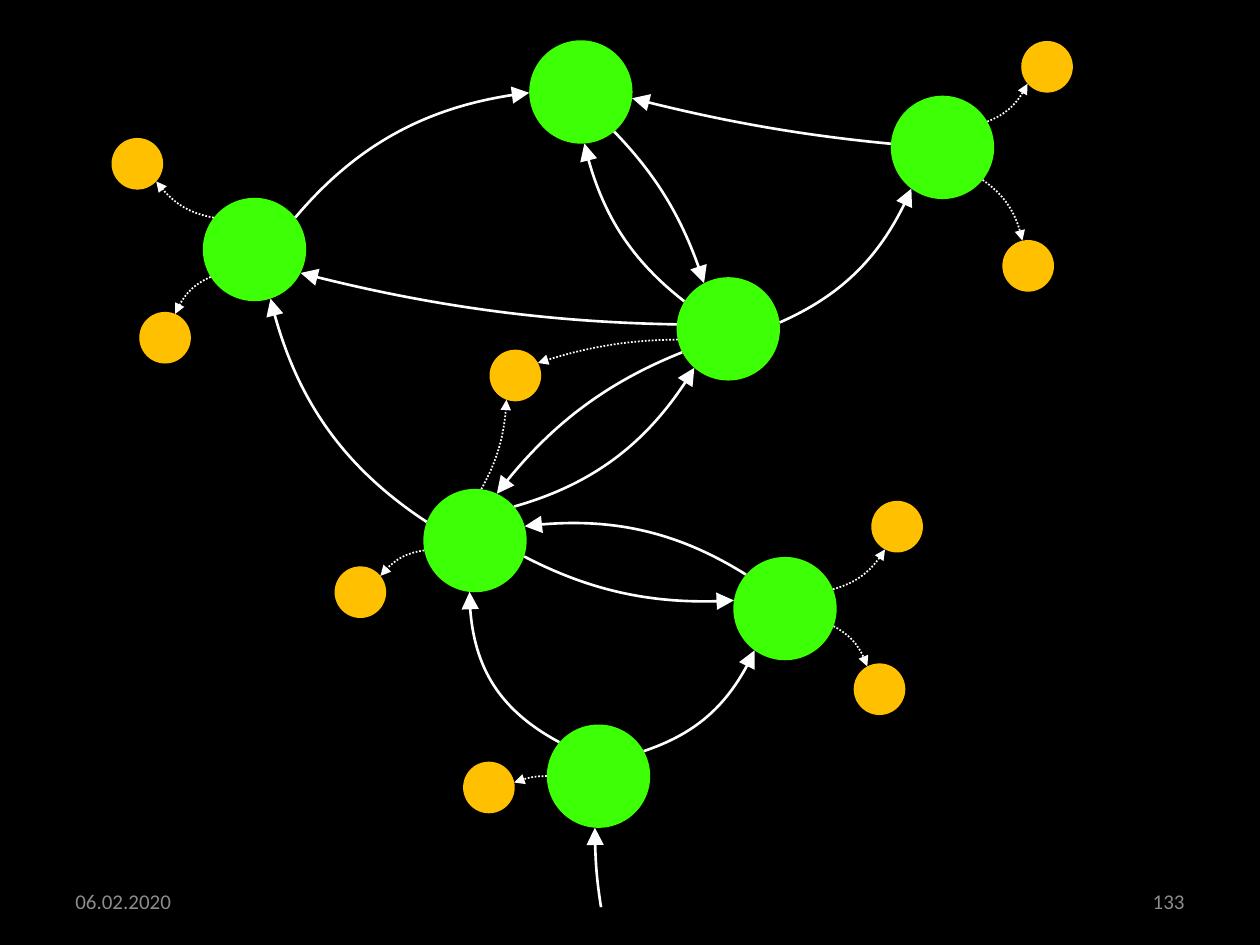
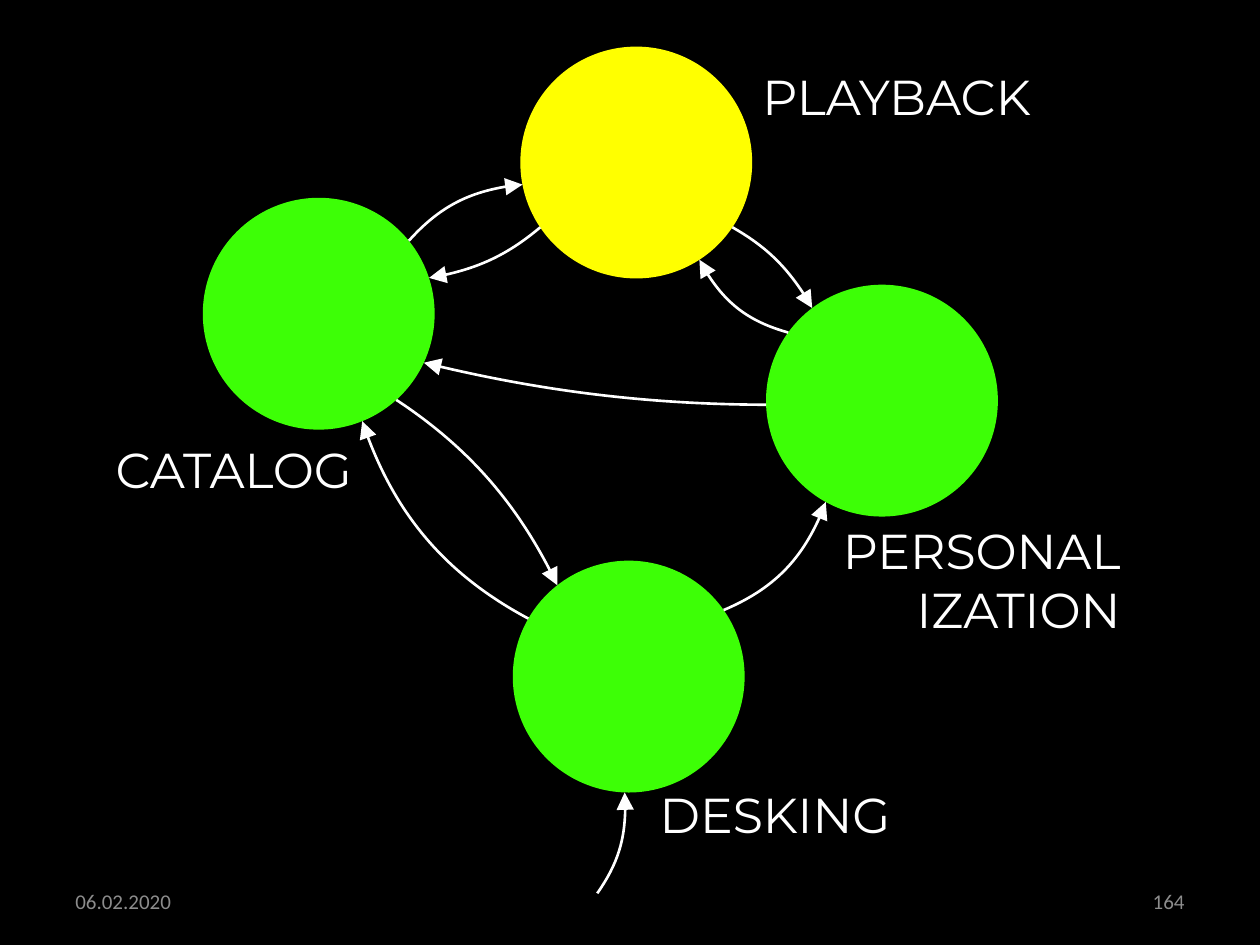
import math

from lxml import etree
from pptx import Presentation
from pptx import util as u
from pptx.dml.color import RGBColor
from pptx.enum import dml, shapes, text
from pptx.oxml import ns

LEFT, CENTER, RIGHT = text.PP_ALIGN.LEFT, text.PP_ALIGN.CENTER, text.PP_ALIGN.RIGHT

COLORS = {
    "background": "000000",
    "arrow": "FFFFFF",
    "label": "FFFFFF",
    "footer": "8C8C8C",
    "hub": "3DFF06",
    "leaf": "FFC000",
    "area": "3DFF06",
    "player": "FFFF00",
}
# Positions and radii are inches on a 10 x 7.5 page. An entry is a bare point.
RADII = {"hub": 0.41, "leaf": 0.205, "area": 0.92, "player": 0.92, "entry": 0}
ARROW_STYLES = {
    "solid": {"width": 1.5, "head": "lg", "dash": None},
    "dotted": {"width": 1, "head": "med", "dash": dml.MSO_LINE.ROUND_DOT},
}
DATE = "06.02.2020"

# Circles: name -> (kind, centre x, centre y).
# Arrows: (source, leaving angle, target, arriving angle, bend).
#   Angles are the spots on the two rims, in degrees clockwise from east.
#   Bend is the height of the arc over its chord, positive to the left of travel.
# Layers: circle kinds and arrow styles, from back to front.
NETWORK = {
    "number": "133",
    "layers": ["solid", "leaf", "dotted", "hub"],
    "circles": {
        "north": ("hub", 4.61, 0.73),
        "east": ("hub", 7.48, 1.17),
        "west": ("hub", 2.02, 1.98),
        "middle": ("hub", 5.78, 2.61),
        "center": ("hub", 3.77, 4.29),
        "southeast": ("hub", 6.23, 4.83),
        "south": ("hub", 4.75, 6.16),
        "entry": ("entry", 4.77, 7.2),
        "east upper leaf": ("leaf", 8.31, 0.53),
        "east lower leaf": ("leaf", 8.16, 2.11),
        "west upper leaf": ("leaf", 1.09, 1.3),
        "west lower leaf": ("leaf", 1.31, 2.68),
        "shared leaf": ("leaf", 4.09, 2.98),
        "center leaf": ("leaf", 2.86, 4.7),
        "southeast upper leaf": ("leaf", 7.12, 4.18),
        "southeast lower leaf": ("leaf", 6.98, 5.47),
        "south leaf": ("leaf", 3.88, 6.25),
    },
    "arrows": [
        ("entry", 0, "south", 94, 0.02),
        ("south", 221, "center", 96, 0.15),
        ("south", -29, "southeast", 126, -0.11),
        ("southeast", 221, "center", -16, -0.09),
        ("center", 18, "southeast", 189, -0.07),
        ("center", -41, "middle", 131, -0.1),
        ("center", 201, "west", 72, 0.1),
        ("middle", 153, "center", -65, -0.07),
        ("middle", 185, "west", 27, 0.03),
        ("middle", 212, "north", 86, 0.09),
        ("middle", -7, "east", 127, -0.1),
        ("north", 50, "middle", 242, 0.06),
        ("west", -38, "north", 179, 0.1),
        ("east", 184, "north", 7, 0.02),
        ("east", -30, "east upper leaf", 139, -0.1),
        ("east", 39, "east lower leaf", 257, 0.1),
        ("west", 218, "west upper leaf", 43, 0.1),
        ("west", 148, "west lower leaf", -67, -0.1),
        ("middle", 168, "shared leaf", -29, -0.04),
        ("center", -83, "shared leaf", 110, -0.06),
        ("center", 169, "center leaf", -39, -0.1),
        ("southeast", -22, "southeast upper leaf", 118, -0.1),
        ("southeast", 20, "southeast lower leaf", 242, 0.1),
        ("south", 180, "south leaf", -11, -0.05),
    ],
    "labels": [],
}
AREAS = {
    "number": "164",
    "layers": ["player", "area", "solid"],
    "circles": {
        "playback": ("player", 5.05, 1.29),
        "personalization": ("area", 7, 3.18),
        "desking": ("area", 4.99, 5.37),
        "catalog": ("area", 2.53, 2.49),
        "entry": ("entry", 4.74, 7.09),
    },
    "arrows": [
        ("entry", 0, "desking", 92, -0.09),
        ("desking", 210, "catalog", 68, 0.1),
        ("desking", -35, "personalization", 119, -0.11),
        ("catalog", 48, "desking", 232, 0.07),
        ("catalog", -39, "playback", 169, 0.1),
        ("playback", 146, "catalog", -18, 0.07),
        ("playback", 34, "personalization", 233, 0.07),
        ("personalization", 216, "playback", 57, 0.11),
        ("personalization", 178, "catalog", 25, 0.03),
    ],
    "labels": [
        ("PLAYBACK", (5.83, 0.48, 2.57, 0.57), CENTER),
        ("DESKING", (5.1, 6.18, 2.1, 0.57), CENTER),
        ("PERSONAL\vIZATION", (6.47, 4.08, 2.52, 1.04), RIGHT),
        ("CATALOG", (0.63, 3.44, 2.26, 0.57), RIGHT),
    ],
}


def lengths(*inches):
    return [u.Cm(2.54 * value) for value in inches]


def color(name):
    return RGBColor.from_string(COLORS[name])


def add_text(page, words, place, align, font, size, tint):
    box = page.shapes.add_textbox(*lengths(*place))
    para = box.text_frame.paragraphs[0]
    para.text = words
    para.alignment = align
    para.font.name, para.font.size = font, u.Pt(size)
    para.font.color.rgb = color(tint)
    return box.text_frame


def add_footer(page, number):
    for words, left, align in ((DATE, 0.5, LEFT), (number, 7.17, RIGHT)):
        frame = add_text(page, words, (left, 6.95, 2.33, 0.4), align, "Calibri", 12, "footer")
        frame.word_wrap = True
        frame.vertical_anchor = text.MSO_ANCHOR.MIDDLE


def add_label(page, words, place, align):
    frame = add_text(page, words, place, align, "Montserrat", 28, "label")
    frame.word_wrap = False
    frame.auto_size = text.MSO_AUTO_SIZE.SHAPE_TO_FIT_TEXT


def add_circle(page, kind, x, y):
    radius = RADII[kind]
    place = lengths(x - radius, y - radius, 2 * radius, 2 * radius)
    circle = page.shapes.add_shape(shapes.MSO_SHAPE.OVAL, *place)
    circle.shadow.inherit = False
    circle.fill.solid()
    circle.fill.fore_color.rgb = color(kind)
    circle.line.fill.background()


def rim_point(circle, degrees):
    kind, x, y = circle
    angle = math.radians(degrees)
    return x + RADII[kind] * math.cos(angle), y + RADII[kind] * math.sin(angle)


def arc_points(start, end, bend):
    """Return start, two handles and end of a cubic arc over the chord."""
    across, down = end[0] - start[0], end[1] - start[1]
    lift = bend * 4 / 3  # a cubic rises to three quarters of its handles
    handles = [(start[0] + across * part + down * lift,
                start[1] + down * part - across * lift) for part in (1 / 3, 2 / 3)]
    return [start, *handles, end]


def add_arrow(page, start, end, bend, style):
    first, *rest = [lengths(*point) for point in arc_points(start, end, bend)]
    builder = page.shapes.build_freeform(*first)
    builder.add_line_segments(rest, close=False)
    arrow = builder.convert_to_shape()
    curve_segments(arrow)
    arrow.shadow.inherit = False
    arrow.fill.background()
    arrow.line.color.rgb = color("arrow")
    arrow.line.width = u.Pt(style["width"])
    if style["dash"]:
        arrow.line.dash_style = style["dash"]
    outline = arrow._element.spPr.find(ns.qn("a:ln"))
    etree.SubElement(outline, ns.qn("a:tailEnd"),
                     type="triangle", w=style["head"], len=style["head"])


def curve_segments(shape):
    """Turn the three straight segments of a freeform into one cubic curve."""
    trail = shape._element.xpath(".//a:path")[0]
    curve = etree.SubElement(trail, ns.qn("a:cubicBezTo"))
    for segment in trail.findall(ns.qn("a:lnTo")):
        curve.append(segment[0])
        trail.remove(segment)


def add_layer(page, layer, circles, arrows):
    """Draw the circles of one kind, or the arrows of one style."""
    for kind, x, y in circles.values():
        if kind == layer:
            add_circle(page, kind, x, y)
    for source, leaving, target, arriving, bend in arrows:
        style = "dotted" if circles[target][0] == "leaf" else "solid"
        if style == layer:
            start = rim_point(circles[source], leaving)
            end = rim_point(circles[target], arriving)
            add_arrow(page, start, end, bend, ARROW_STYLES[style])


def add_page(deck, diagram):
    page = deck.slides.add_slide(deck.slide_layouts[6])
    page.background.fill.solid()
    page.background.fill.fore_color.rgb = color("background")
    add_footer(page, diagram["number"])
    for layer in diagram["layers"]:
        add_layer(page, layer, diagram["circles"], diagram["arrows"])
    for label in diagram["labels"]:
        add_label(page, *label)


def main():
    deck = Presentation()
    deck.slide_width, deck.slide_height = lengths(10, 7.5)
    for diagram in (NETWORK, AREAS):
        add_page(deck, diagram)
    deck.save("out.pptx")


if __name__ == "__main__":
    main()
